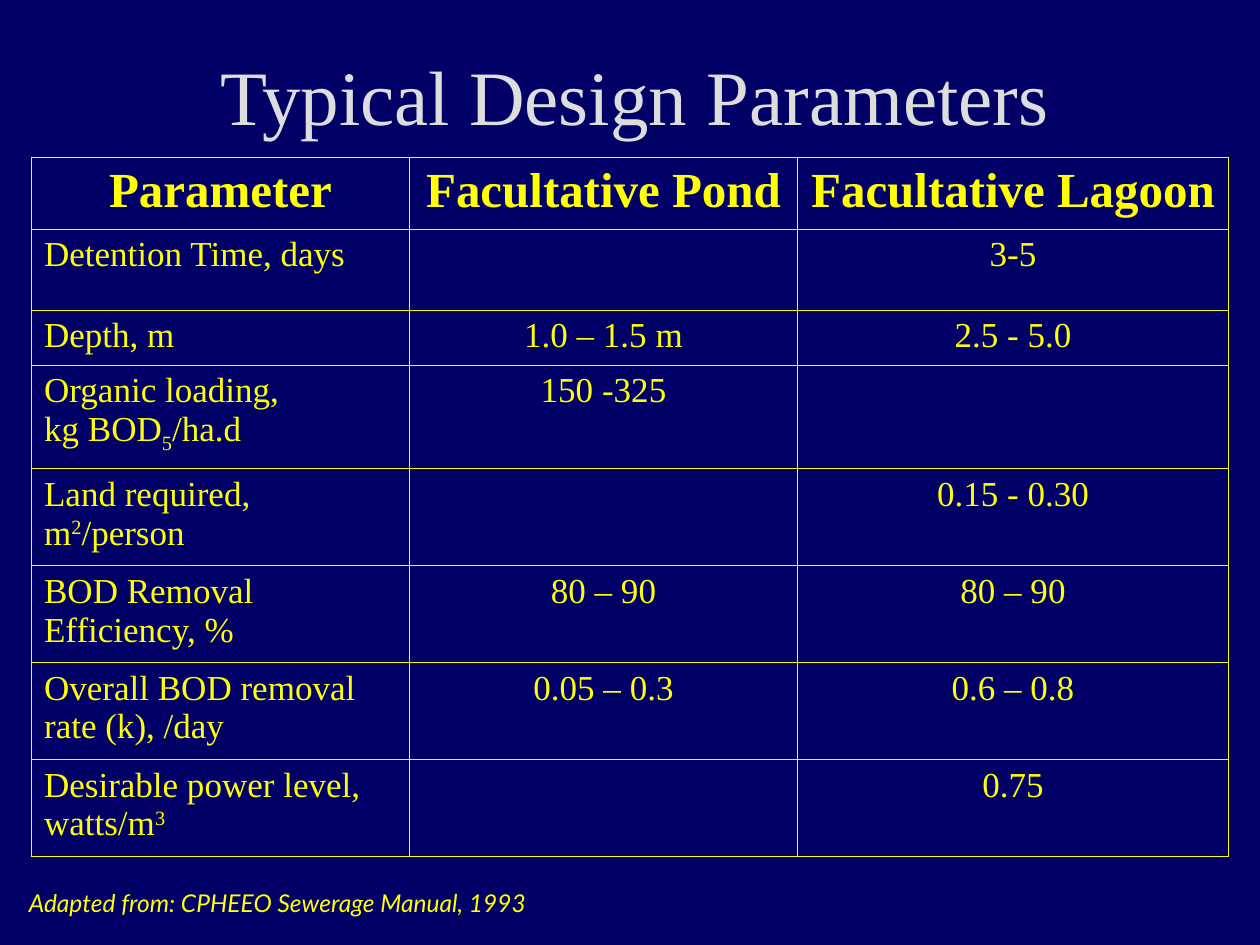
from lxml import etree
from pptx import Presentation
from pptx.dml.color import RGBColor
from pptx.enum.text import MSO_ANCHOR, PP_ALIGN
from pptx.oxml.ns import qn
from pptx.util import Inches, Pt

CENTER, LEFT, MIDDLE = PP_ALIGN.CENTER, PP_ALIGN.LEFT, MSO_ANCHOR.MIDDLE
NAVY, YELLOW, SILVER = "000066", "FFFF00", "DDDDDD"
SERIF, SANS = "Times New Roman", "Lato"
OUTER, INNER = Pt(1.08), Pt(0.45)
SUBSCRIPT, SUPERSCRIPT = "-25000", "30000"


def style(run, size, color, face=SERIF, bold=False, italic=False):
    run.font.size = Pt(size)
    run.font.name = face
    run.font.bold = bold
    run.font.italic = italic
    run.font.color.rgb = RGBColor.from_string(color)


def add_border(cell, side, width):
    line = etree.SubElement(cell._tc.get_or_add_tcPr(), qn(f"a:ln{side}"), w=str(width))
    fill = etree.SubElement(line, qn("a:solidFill"))
    etree.SubElement(fill, qn("a:srgbClr"), val=YELLOW)


parameters = [
    ("Parameter", "Facultative Pond", "Facultative Lagoon"),
    ("Detention Time, days", "", "3-5"),
    ("Depth, m", "1.0 – 1.5 m", "2.5 - 5.0"),
    ("Organic loading,\vkg BOD|5|/ha.d", "150 -325", ""),
    ("Land required, m|2|/person", "", "0.15 - 0.30"),
    ("BOD Removal Efficiency, %", "80 – 90", "80 – 90"),
    ("Overall BOD removal rate (k), /day", "0.05 – 0.3", "0.6 – 0.8"),
    ("Desirable power level, watts/m|3", "", "0.75"),
]
column_widths = [3, 3.08, 3.42]
row_heights = [0.57, 0.64, 0.44, 0.82] + [0.77] * 4

deck = Presentation()
deck.slide_width, deck.slide_height = Inches(10), Inches(7.5)
slide = deck.slides.add_slide(deck.slide_layouts[5])
slide.background.fill.solid()
slide.background.fill.fore_color.rgb = RGBColor.from_string(NAVY)

heading = slide.shapes.title
heading.left, heading.top = Inches(0.25), Inches(0.42)
heading.width, heading.height = Inches(9.58), Inches(0.67)
heading.text_frame.text = "Typical Design Parameters"
heading.text_frame.vertical_anchor = MIDDLE
heading.text_frame.paragraphs[0].alignment = CENTER
style(heading.text_frame.paragraphs[0].runs[0], 44, SILVER)

frame = slide.shapes.add_table(
    len(row_heights), len(column_widths), Inches(0.25), Inches(1.25),
    Inches(sum(column_widths)), Inches(sum(row_heights)))
comparison = frame.table
comparison.first_row = comparison.horz_banding = False
for column, width in zip(comparison.columns, column_widths):
    column.width = Inches(width)
for row, height in zip(comparison.rows, row_heights):
    row.height = Inches(height)

last_row, last_column = len(row_heights) - 1, len(column_widths) - 1
for r, values in enumerate(parameters):
    for c, value in enumerate(values):
        cell = comparison.cell(r, c)
        edges = {"L": c == 0, "R": c == last_column, "T": r == 0, "B": r == last_row}
        for side, is_outer in edges.items():
            add_border(cell, side, OUTER if is_outer else INNER)
        cell.fill.background()
        entry = cell.text_frame.paragraphs[0]
        entry.alignment = LEFT if r and c == 0 else CENTER
        entry.text = value.split("|")[0]
        for part in value.split("|")[1:]:
            entry.add_run().text = part
        for run in entry.runs:
            style(run, 20 if r else 28, YELLOW, bold=r == 0)
            if run.text in ("2", "3", "5"):
                shift = SUBSCRIPT if run.text == "5" else SUPERSCRIPT
                run.font._element.set("baseline", shift)

credit = slide.shapes.add_textbox(Inches(0.13), Inches(7), Inches(5.71), Inches(0.34))
credit.text_frame.word_wrap = True
credit.text_frame.text = "Adapted from: CPHEEO Sewerage Manual, 1993"
style(credit.text_frame.paragraphs[0].runs[0], 14, YELLOW, SANS, italic=True)

deck.save("out.pptx")
